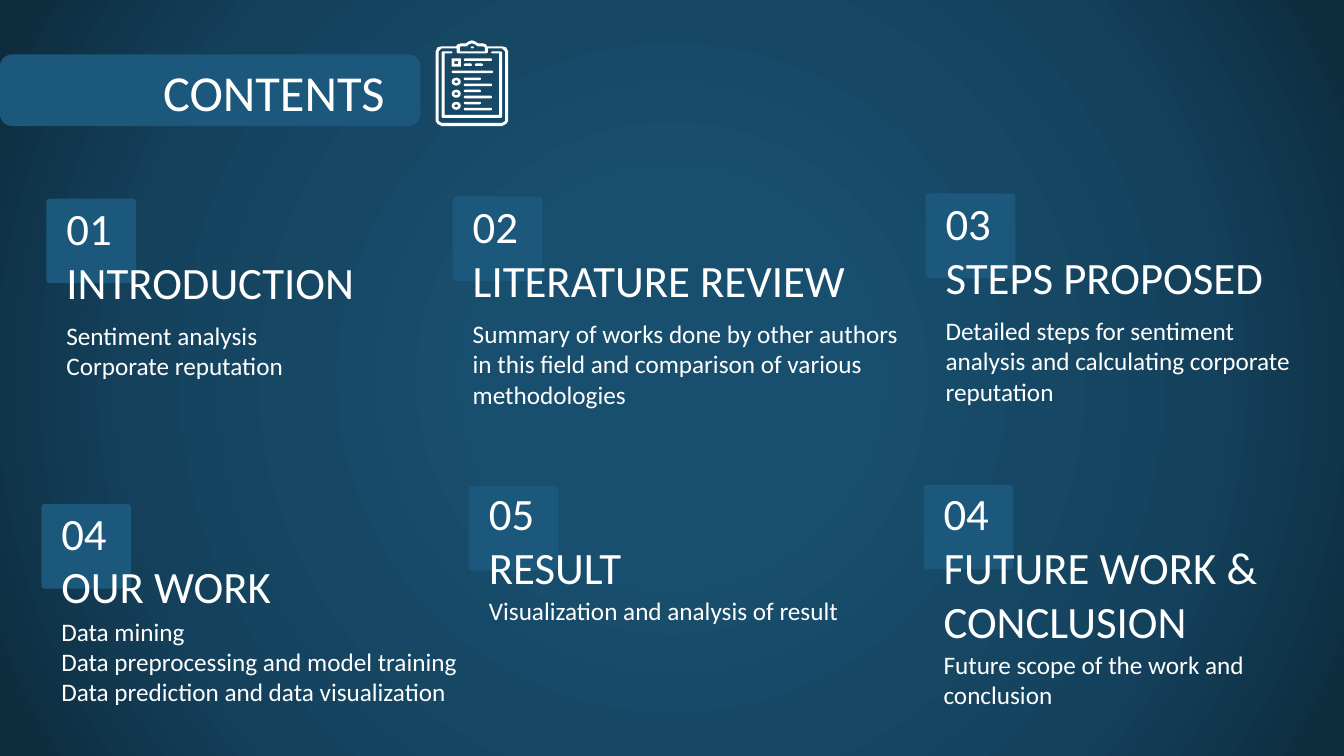
from pptx import Presentation
from pptx import util as u
from pptx.dml.color import RGBColor
from pptx.enum import shapes, text
from pptx.oxml import parse_xml
from pptx.oxml.ns import nsdecls, qn

COLORS = {"white": "FFFFFF", "box": "1B587C", "core": "184E6E",
          "mid": "14425D", "edge": "0E2C3E"}
FONT = "Calibri"
KIND = shapes.MSO_SHAPE

ITEMS = [
    (0.46, 1.97, 2.81, 0.27, 3.31, 3.58, ["01 INTRODUCTION"],
     ["Sentiment analysis", "Corporate reputation"]),
    (4.49, 1.95, 2.79, 0.27, 4.25, 4.52, ["02", "LITERATURE REVIEW"],
     ["Summary of works done by other authors in this field "
      "and comparison of various methodologies"]),
    (9.18, 1.92, 2.76, 0.27, 3.76, 3.79, ["03", "STEPS PROPOSED"],
     ["Detailed steps for sentiment analysis and calculating corporate reputation"]),
    (0.41, 5, 5.83, 0.18, 2.76, 4.27, ["04", "OUR WORK"],
     ["Data mining", "Data preprocessing and model training",
      "Data prediction and data visualization"]),
    (4.65, 4.82, 5.64, 0.17, 3.71, 3.91, ["05", "RESULT"],
     ["Visualization and analysis of result"]),
    (9.16, 4.81, 6.17, 0.17, 3.71, 3.91, ["04", "FUTURE WORK & CONCLUSION"],
     ["Future scope of the work and conclusion"]),
]

BOARD = [
    [(4.62, 0.43), (4.65, 0.41), (4.68, 0.4), (4.71, 0.41), (4.74, 0.43),
     (4.79, 0.43), (4.82, 0.44), (4.83, 0.46), (4.98, 0.46), (5.02, 0.47),
     (5.04, 0.51), (5.04, 1.2), (5.02, 1.23), (4.98, 1.25), (4.38, 1.25),
     (4.34, 1.23), (4.32, 1.2), (4.32, 0.51), (4.34, 0.47), (4.38, 0.46),
     (4.52, 0.46), (4.54, 0.44), (4.57, 0.43)],
    [(4.38, 0.48), (4.53, 0.48), (4.53, 0.52), (4.54, 0.53), (4.82, 0.53),
     (4.84, 0.52), (4.84, 0.48), (4.98, 0.48), (5.01, 0.51), (5.01, 1.2),
     (4.98, 1.22), (4.38, 1.22), (4.35, 1.2), (4.35, 0.51)],
    [(4.57, 0.46), (4.63, 0.46), (4.65, 0.44), (4.68, 0.43), (4.71, 0.44),
     (4.74, 0.46), (4.79, 0.46), (4.81, 0.47), (4.81, 0.51), (4.56, 0.51),
     (4.56, 0.47)],
]
PAGE = [
    [(4.39, 0.51), (4.38, 0.52), (4.38, 1.16), (4.39, 1.17), (4.97, 1.17),
     (4.98, 1.16), (4.98, 0.52), (4.97, 0.51), (4.88, 0.51), (4.87, 0.52),
     (4.88, 0.53), (4.95, 0.53), (4.95, 1.14), (4.41, 1.14), (4.41, 0.53),
     (4.48, 0.53), (4.49, 0.52), (4.48, 0.51)],
]


class Deck:
    def __init__(self):
        self.prs = Presentation()
        self.prs.slide_width = u.Inches(13.33)
        self.prs.slide_height = u.Inches(7.5)
        self.slide = self.prs.slides.add_slide(self.prs.slide_layouts[6])

    def glow(self, stops):
        self.slide.background.fill.gradient()
        grad = self.slide.element.find(".//" + qn("a:gradFill"))
        marks = "".join(
            f'<a:gs pos="{pos * 1000}"><a:srgbClr val="{COLORS[name]}"/></a:gs>'
            for pos, name in stops)
        grad.getparent().replace(grad, parse_xml(
            f'<a:gradFill {nsdecls("a")} rotWithShape="1"><a:gsLst>{marks}</a:gsLst>'
            '<a:path path="circle"><a:fillToRect l="50000" t="50000" r="50000" '
            'b="50000"/></a:path></a:gradFill>'))

    def paint(self, shape, color):
        shape.shadow.inherit = False
        shape.fill.solid()
        shape.fill.fore_color.rgb = RGBColor.from_string(COLORS[color])
        shape.line.fill.background()

    def shape(self, kind, x, y, w, h, color="box", adj=None, group=None):
        home = group or self.slide
        shape = home.shapes.add_shape(
            kind, u.Inches(x), u.Inches(y), u.Inches(w), u.Inches(h))
        if adj is not None:
            shape.adjustments[0] = adj
        self.paint(shape, color)

    def outline(self, loops, group, color="white"):
        loops = [[(u.Inches(x), u.Inches(y)) for x, y in loop] for loop in loops]
        pen = group.shapes.build_freeform(*loops[0][0])
        for i, loop in enumerate(loops):
            if i:
                pen.move_to(*loop[0])
            pen.add_line_segments(loop[1:], close=True)
        self.paint(pen.convert_to_shape(), color)

    def text(self, lines, x, y, w, h, size=18, color="white", pad=0.1,
             anchor=text.MSO_ANCHOR.TOP):
        box = self.slide.shapes.add_textbox(
            u.Inches(x), u.Inches(y), u.Inches(w), u.Inches(h))
        frame = box.text_frame
        frame.word_wrap = True
        frame.vertical_anchor = anchor
        frame.margin_top = frame.margin_bottom = u.Inches(pad)
        for i, line in enumerate(lines):
            para = frame.add_paragraph() if i else frame.paragraphs[0]
            run = para.add_run()
            run.text = line
            run.font.name = FONT
            run.font.size = u.Pt(size)
            run.font.color.rgb = RGBColor.from_string(COLORS[color])

    def icon(self):
        group = self.slide.shapes.add_group_shape()
        self.outline(BOARD, group)
        self.outline(PAGE, group)
        white = {"color": "white", "group": group}
        self.shape(KIND.OVAL, 4.67, 0.46, 0.03, 0.02, **white)
        self.shape(KIND.FRAME, 4.48, 0.58, 0.09, 0.08, adj=0.33, **white)
        bars = [(4.6, 0.58, 0.28), (4.6, 0.63, 0.08), (4.71, 0.63, 0.08),
                (4.48, 0.7, 0.41)]
        for row in range(3):
            top = 0.77 + 0.12 * row
            self.shape(KIND.DONUT, 4.48, top, 0.09, 0.08, adj=0.33, **white)
            bars += [(4.6, top, 0.17), (4.6, top + 0.06, 0.28)]
        for x, y, w in bars:
            self.shape(KIND.ROUNDED_RECTANGLE, x, y, w, 0.025, adj=0.5, **white)

    def item(self, x, y, top, gap, wide, span, head, body):
        self.shape(KIND.ROUNDED_RECTANGLE, x, y, 0.89, 0.84, adj=0.043)
        self.text(head, x + 0.1, top, wide, 0.35, size=32,
                  anchor=text.MSO_ANCHOR.BOTTOM)
        self.text(body, x + 0.1, top + gap, span, 0.55)


def main():
    deck = Deck()
    deck.glow([(0, "core"), (23, "core"), (69, "mid"), (97, "edge")])
    deck.shape(KIND.ROUNDED_RECTANGLE, 0, 0.54, 4.17, 0.71)
    deck.text(["CONTENTS"], 1.52, 0.56, 4.17, 0.77, size=36, pad=0.05)
    deck.icon()
    for item in ITEMS:
        deck.item(*item)
    deck.prs.save("out.pptx")


if __name__ == "__main__":
    main()
